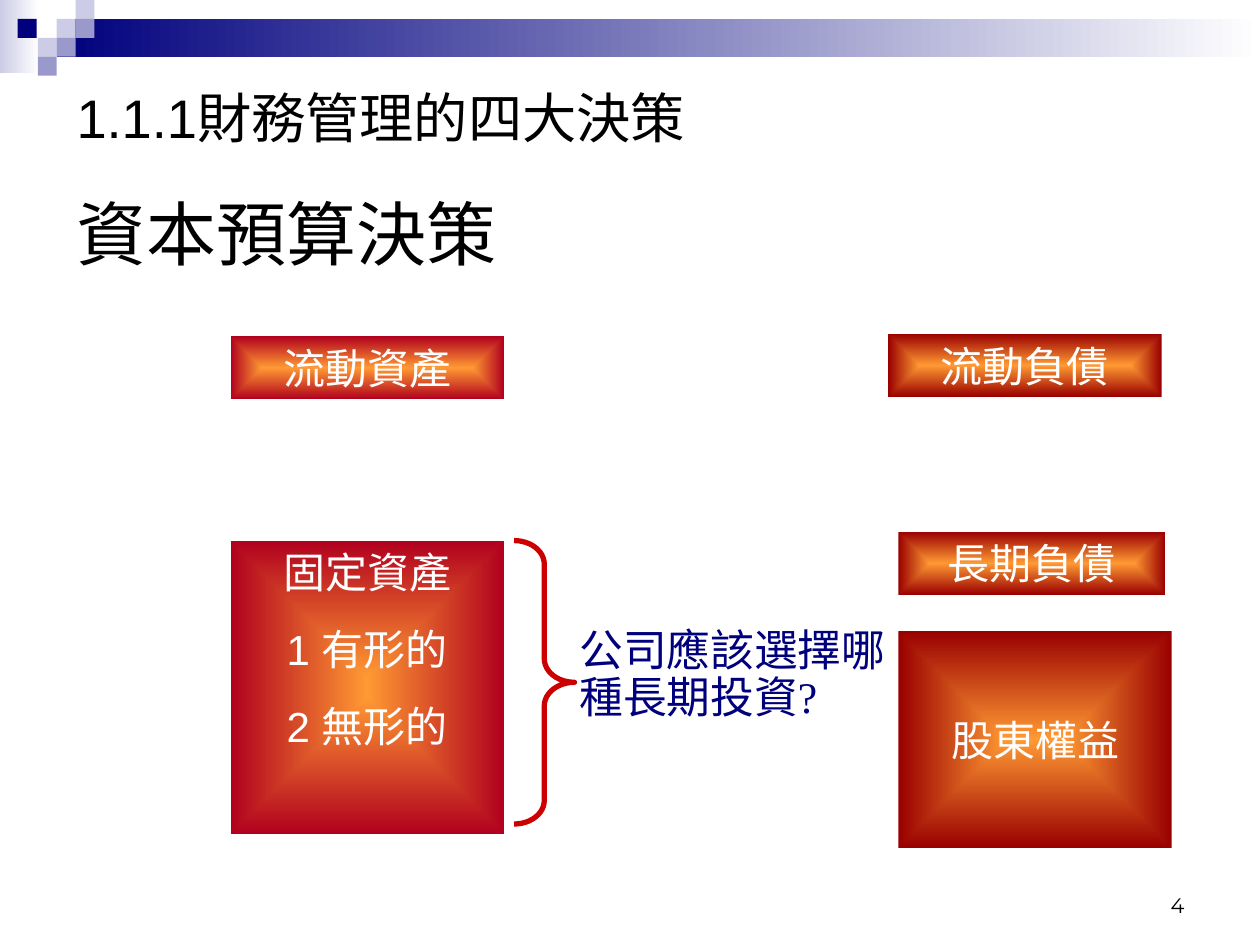
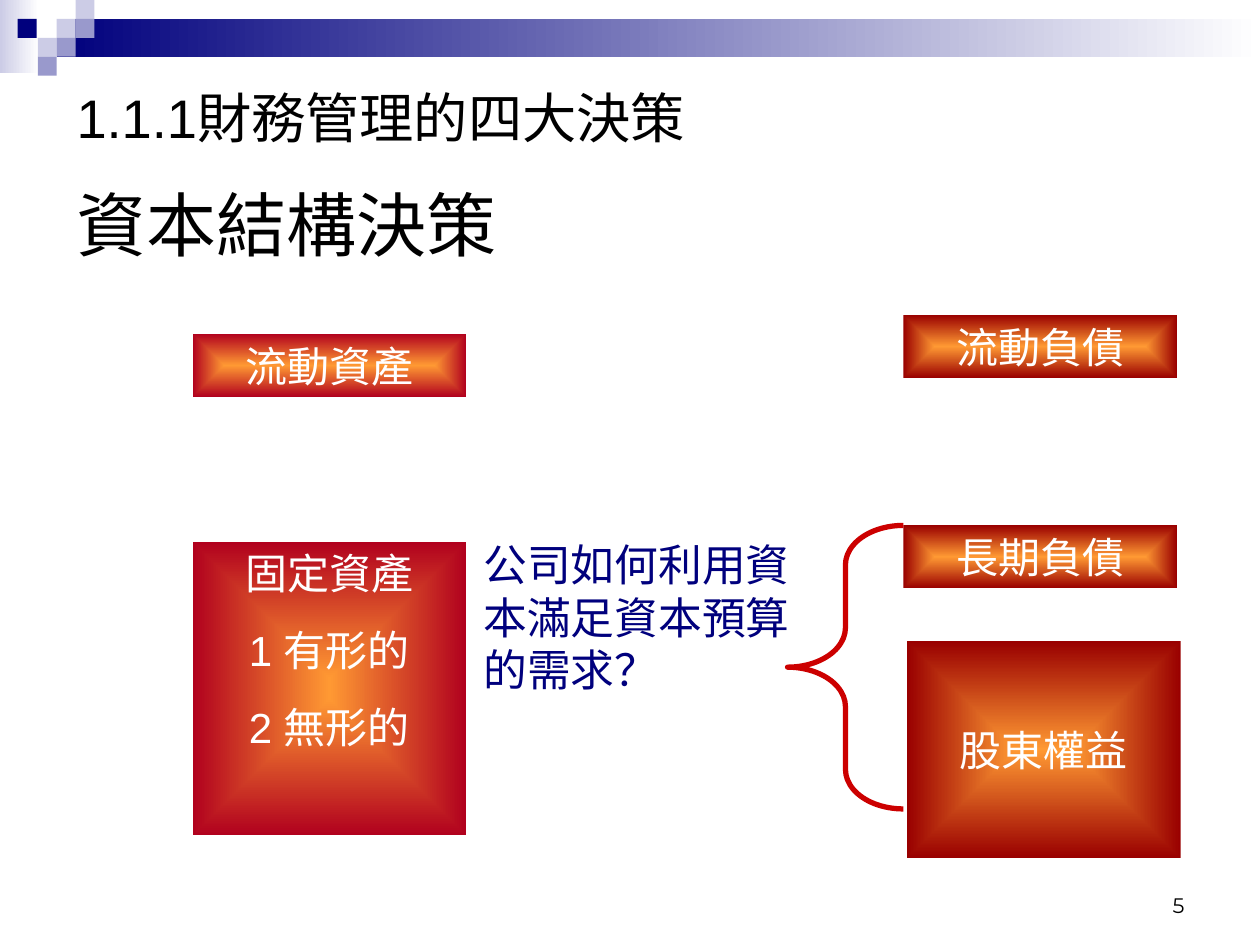
from lxml.etree import SubElement
from pptx import Presentation
from pptx.dml.color import RGBColor
from pptx.enum.shapes import MSO_SHAPE as Shape
from pptx.enum.text import MSO_ANCHOR as Anchor, MSO_AUTO_SIZE as AutoSize, PP_ALIGN as Align
from pptx.oxml.ns import qn
from pptx.util import Inches, Pt

COLORS = {
    "navy": "00007D", "lilac": "CCCCE6", "violet": "9999CC", "white": "FFFFFF",
    "black": "000000", "orange": "FF9933", "crimson": "B1011E",
    "maroon": "990000", "red": "CC0000",
}
CJK_FONT = "Noto Sans CJK SC"
FORMATS = {
    "title": {"name": "Arial", "size": Pt(40), "color": "black"},
    "section": {"name": "Arial", "size": Pt(31), "color": "black"},
    "box": {"name": "Times New Roman", "size": Pt(24), "color": "white"},
    "list": {"name": "Arial", "size": Pt(24), "color": "white"},
    "question": {"name": "Times New Roman", "size": Pt(25), "color": "navy"},
    "number": {"name": "Montserrat", "size": Pt(12), "color": "black"},
}
SECTION = "1.1.1財務管理的四大決策"
BOX_WIDTH, BAR_HEIGHT = 2.17, 0.5
TILE = 0.15
# Left, top and colour of each tile in the corner mosaic
TILES = [
    (0.45, 0.15, "lilac"), (0.6, 0, "lilac"), (0.6, 0.15, "violet"),
    (0.3, 0.3, "lilac"), (0.14, 0.15, "navy"), (0.45, 0.3, "violet"),
    (0.3, 0.45, "violet"),
]


def rgb(color):
    return RGBColor.from_string(COLORS[color])


def inches(values):
    return [Inches(value) for value in values]


class Deck:
    """Holds the shared style and the slide being built."""

    def __init__(self):
        self.presentation = Presentation()
        self.presentation.slide_width = Inches(10)
        self.presentation.slide_height = Inches(7.5)
        self.slide = None

    def start_slide(self, title, title_area, number):
        layout = self.presentation.slide_layouts[5]
        self.slide = self.presentation.slides.add_slide(layout)
        self.header()
        placeholder = self.slide.shapes.title
        sides = ("left", "top", "width", "height")
        for side, value in zip(sides, inches(title_area)):
            setattr(placeholder, side, value)
        self.fill_text(placeholder, [title], "title", anchor=Anchor.BOTTOM)
        self.text([SECTION], (0.51, 0.6, 6.47, 0.65), "section", anchor=Anchor.MIDDLE)
        self.text([str(number)], (7.17, 6.83, 2.33, 0.5), "number",
                  anchor=Anchor.BOTTOM, align=Align.RIGHT)

    def header(self):
        shapes = self.slide.shapes.add_group_shape().shapes
        for area, start in [((0, 0, 0.31, 0.58), "lilac"), ((0.45, 0.15, 9.55, 0.3), "navy")]:
            self.gradient(self.rectangle(shapes, area), start, "white")
        for left, top, color in TILES:
            tile = self.rectangle(shapes, (left, top, TILE, TILE))
            tile.fill.solid()
            tile.fill.fore_color.rgb = rgb(color)

    def rectangle(self, shapes, area):
        shape = shapes.add_shape(Shape.RECTANGLE, *inches(area))
        shape.shadow.inherit = False
        shape.line.fill.background()
        return shape

    def gradient(self, shape, start, end, from_center=False):
        shape.fill.gradient()
        shape.fill.gradient_angle = 0
        for stop, color in zip(shape.fill.gradient_stops, (start, end)):
            stop.color.rgb = rgb(color)
        if from_center:
            gradient = shape._element.spPr.find(qn("a:gradFill"))
            gradient.remove(gradient.find(qn("a:lin")))
            center = SubElement(gradient, qn("a:path"), {"path": "rect"})
            SubElement(center, qn("a:fillToRect"), dict.fromkeys("ltrb", "50000"))

    def fill_text(self, shape, lines, style, anchor=Anchor.TOP, align=Align.LEFT,
                  spacing=1.0, gap=0):
        frame = shape.text_frame
        settings = {"word_wrap": True, "auto_size": AutoSize.NONE, "vertical_anchor": anchor}
        for name, value in settings.items():
            setattr(frame, name, value)
        for index, line in enumerate(lines):
            paragraph = frame.add_paragraph() if index else frame.paragraphs[0]
            paragraph.alignment = align
            paragraph.line_spacing = spacing
            paragraph.space_before = Pt(gap if index else 0)
            run = paragraph.add_run()
            run.text = line
            for name, value in FORMATS[style].items():
                if name == "color":
                    run.font.color.rgb = rgb(value)
                else:
                    setattr(run.font, name, value)
            SubElement(run._r.get_or_add_rPr(), qn("a:ea"), {"typeface": CJK_FONT})

    def text(self, lines, area, style, **options):
        self.fill_text(self.slide.shapes.add_textbox(*inches(area)), lines, style, **options)

    def box(self, lines, left, top, edge, height=BAR_HEIGHT, width=BOX_WIDTH,
            style="box", anchor=Anchor.TOP):
        shape = self.rectangle(self.slide.shapes, (left, top, width, height))
        self.gradient(shape, "orange", edge, from_center=True)
        self.fill_text(shape, lines, style, anchor=anchor, align=Align.CENTER, gap=15)

    def assets(self, left, current_top, fixed_top):
        self.box(["流動資產"], left, current_top, "crimson")
        self.box(["固定資產", "1 有形的", "2 無形的"], left, fixed_top, "crimson",
                 height=2.33, style="list")

    def financing(self, current, long_term, equity, long_term_width=BOX_WIDTH):
        """Each of the three boxes is given by its left and top."""
        self.box(["流動負債"], *current, "maroon")
        self.box(["長期負債"], *long_term, "maroon", width=long_term_width)
        self.box(["股東權益"], *equity, "maroon", height=1.72, anchor=Anchor.MIDDLE)

    def brace(self, kind, area, curve):
        shape = self.slide.shapes.add_shape(kind, *inches(area))
        shape.shadow.inherit = False
        shape.adjustments[0] = curve
        shape.fill.background()
        shape.line.color.rgb = rgb("red")
        shape.line.width = Pt(3)


def main():
    deck = Deck()

    deck.start_slide("資本預算決策", (0.51, 1.54, 9, 0.69), 4)
    deck.assets(1.83, 2.67, 4.29)
    deck.financing((7.05, 2.65), (7.13, 4.22), (7.13, 5.01), long_term_width=2.12)
    deck.text(["公司應該選擇哪種長期投資?"], (4.5, 4.94, 2.67, 0.85), "question", spacing=0.9)
    deck.brace(Shape.RIGHT_BRACE, (4.08, 4.29, 0.48, 2.25), 0.39)

    deck.start_slide("資本結構決策", (0.51, 1.39, 9, 0.77), 5)
    deck.assets(1.53, 2.65, 4.3)
    deck.financing((7.17, 2.5), (7.17, 4.17), (7.2, 5.09))
    deck.text(["公司如何利用資本滿足資本預算的需求？"], (3.74, 4.22, 2.67, 1.35), "question")
    deck.brace(Shape.LEFT_BRACE, (6.25, 4.17, 0.92, 2.25), 0.34)

    deck.presentation.save("out.pptx")


if __name__ == "__main__":
    main()
